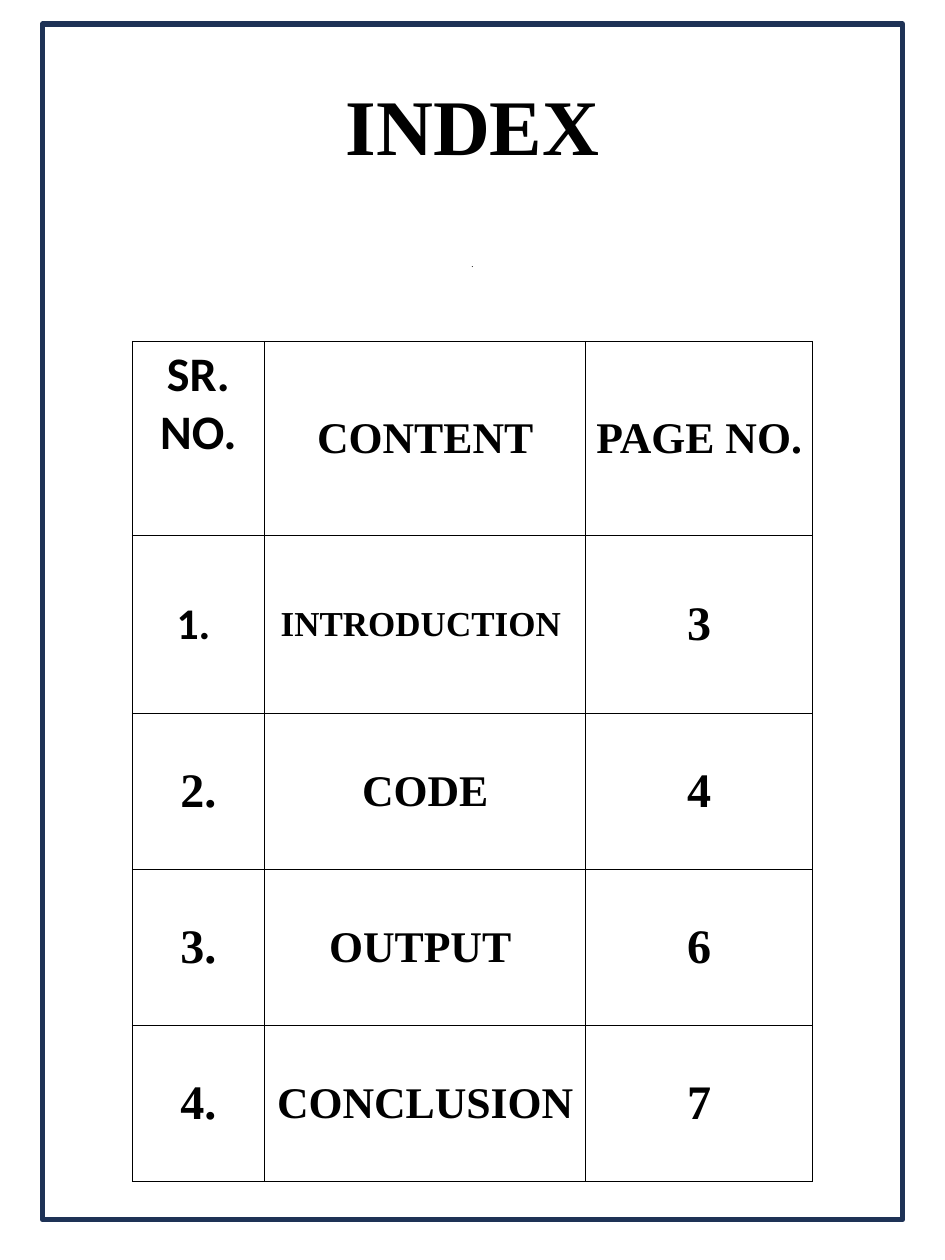
from dataclasses import dataclass

from lxml.etree import SubElement
from pptx import Presentation
from pptx.dml.color import RGBColor
from pptx.enum.shapes import MSO_SHAPE as Preset
from pptx.enum.text import MSO_ANCHOR as Anchor, PP_ALIGN as Align
from pptx.oxml.ns import qn
from pptx.util import Inches, Pt


@dataclass(frozen=True)
class Theme:
    """Colours, fonts and type sizes of the index page."""
    ink: str = "000000"
    paper: str = "FFFFFF"
    frame: str = "1E3256"
    serif: str = "Times New Roman"
    sans: str = "Calibri"
    title: int = 72
    number: int = 44
    content: int = 40
    small_content: int = 32
    dot: int = 8
    frame_line: int = 5
    cell_line: int = 1


THEME = Theme()
WIDTH, HEIGHT = Inches(12), Inches(16)
COLUMNS = (0.14, 0.34, 0.24)
ROWS = (0.154, 0.141, 0.124, 0.124, 0.124)
HEADINGS = ("SR. NO.", "CONTENT", "PAGE NO.")
ENTRIES = (
    ("1. ", "INTRODUCTION ", "3"),
    ("2.", "CODE", "4"),
    ("3.", "OUTPUT ", "6"),
    ("4.", "CONCLUSION", "7"),
)


def place(left, top, width, height):
    """Turn shares of the slide's size into lengths."""
    return (round(left * WIDTH), round(top * HEIGHT),
            round(width * WIDTH), round(height * HEIGHT))


def write(frame, text, size, font_name, bold=True):
    """Write one centred paragraph and return it."""
    frame.word_wrap = True
    paragraph = frame.paragraphs[0]
    paragraph.text = text
    paragraph.alignment = Align.CENTER
    font = paragraph.font
    font.size, font.name, font.bold = Pt(size), font_name, bold
    font.color.rgb = RGBColor.from_string(THEME.ink)
    return paragraph


def add_text(slide, box, text, size, font_name, bold, anchor):
    """Add a text box with tight lines and return its paragraph."""
    frame = slide.shapes.add_textbox(*place(*box)).text_frame
    frame.vertical_anchor = anchor
    paragraph = write(frame, text, size, font_name, bold)
    paragraph.line_spacing = 0.9
    return paragraph


def add_frame(slide, box):
    """Add the unfilled border around the page."""
    shape = slide.shapes.add_shape(Preset.RECTANGLE, *place(*box))
    shape.shadow.inherit = False
    shape.fill.background()
    shape.line.color.rgb = RGBColor.from_string(THEME.frame)
    shape.line.width = Pt(THEME.frame_line)


def add_borders(cell):
    """Draw a thin line on each side of a cell."""
    properties = cell._tc.get_or_add_tcPr()
    for position, side in enumerate(("lnL", "lnR", "lnT", "lnB")):
        line = properties.makeelement(qn(f"a:{side}"), {"w": str(Pt(THEME.cell_line))})
        properties.insert(position, line)
        fill = SubElement(line, qn("a:solidFill"))
        SubElement(fill, qn("a:srgbClr"), {"val": THEME.ink})


def cell_style(row, column, text):
    """Choose the type size and font of a table cell."""
    font_name = THEME.sans if column == 0 and row < 2 else THEME.serif
    if text.startswith("INTRODUCTION"):
        return THEME.small_content, font_name
    if column == 1 or (row, column) in ((0, 2), (1, 0)):
        return THEME.content, font_name
    return THEME.number, font_name


def add_index_table(slide, left, top):
    """Add the ruled table of contents."""
    box = place(left, top, sum(COLUMNS), sum(ROWS))
    table = slide.shapes.add_table(len(ROWS), len(COLUMNS), *box).table
    table.first_row = table.horz_banding = False
    for column, share in zip(table.columns, COLUMNS):
        column.width = round(share * WIDTH)
    for row, share in zip(table.rows, ROWS):
        row.height = round(share * HEIGHT)
    for row, texts in enumerate((HEADINGS, *ENTRIES)):
        for column, text in enumerate(texts):
            cell = table.cell(row, column)
            cell.fill.solid()
            cell.fill.fore_color.rgb = RGBColor.from_string(THEME.paper)
            cell.vertical_anchor = Anchor.MIDDLE if row or column else Anchor.TOP
            write(cell.text_frame, text, *cell_style(row, column, text))
            add_borders(cell)


def main():
    """Build the index page and save it."""
    presentation = Presentation()
    presentation.slide_width, presentation.slide_height = WIDTH, HEIGHT
    slide = presentation.slides.add_slide(presentation.slide_layouts[6])
    add_text(slide, (0.075, 0.054, 0.85, 0.086), "INDEX",
             THEME.title, THEME.serif, True, Anchor.BOTTOM)
    dot = add_text(slide, (0.045, 0.203, 0.91, 0.764), ".",
                   THEME.dot, THEME.sans, False, Anchor.TOP)
    dot.space_before = Pt(12)
    add_frame(slide, (0.045, 0.019, 0.91, 0.949))
    add_index_table(slide, 0.14, 0.271)
    presentation.save("out.pptx")


if __name__ == "__main__":
    main()
